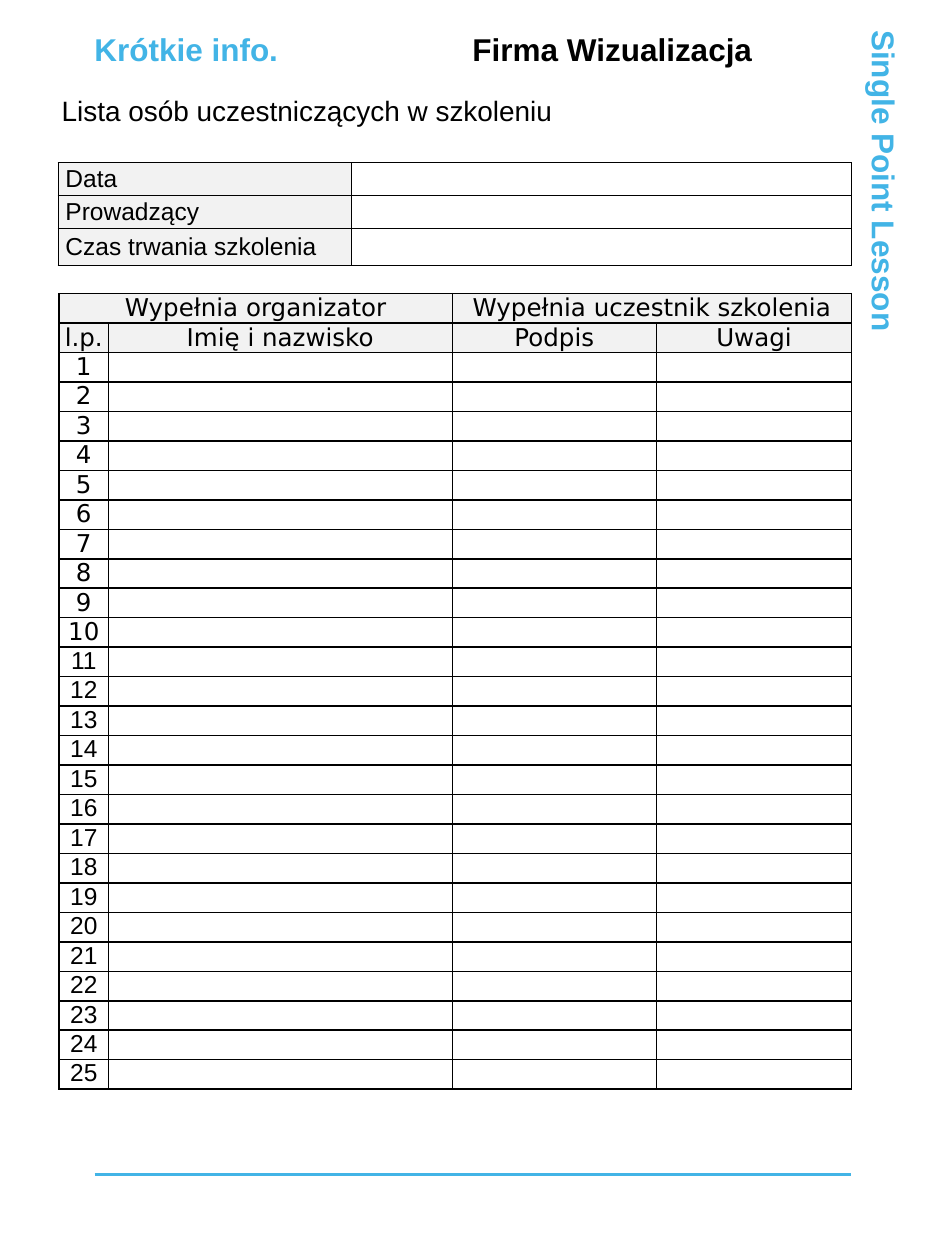
from lxml.etree import SubElement as Sub
from pptx import Presentation
from pptx.dml.color import RGBColor as RGB
from pptx.enum.shapes import MSO_CONNECTOR as LINK, MSO_SHAPE as FORM
from pptx.enum.text import MSO_ANCHOR as ANCHOR, PP_ALIGN as ALIGN
from pptx.oxml.ns import qn
from pptx.util import Inches, Pt

HUE = {"blue": "42B4E6", "ink": "000000", "head": "F2F2F2", "page": "FFFFFF"}
SIDES = ("margin_left", "margin_top", "margin_right", "margin_bottom")

deck = Presentation()
deck.slide_width, deck.slide_height = Inches(7.5), Inches(10)
slide = deck.slides.add_slide(deck.slide_layouts[6])
shapes = slide.shapes


def write(frame, text, hue="ink", align=ALIGN.LEFT, **style):
    par = frame.paragraphs[0]
    par.alignment = align
    run = par.add_run()
    run.text = text
    run.font.color.rgb = RGB.from_string(HUE[hue])
    for key, val in style.items():
        setattr(run.font, key, val)


def grid(spot, cols, rows, pad, line):
    width, height = Inches(sum(cols)), Inches(sum(rows))
    table = shapes.add_table(len(rows), len(cols), *map(Inches, spot), width, height).table
    table.first_row = table.horz_banding = False
    for col, size in zip(table.columns, cols):
        col.width = Inches(size)
    for row, size in zip(table.rows, rows):
        row.height = Inches(size)
    for cell in table.iter_cells():
        for side, gap in zip(SIDES, (pad, 0, pad, 0)):
            setattr(cell, side, Inches(gap))
        # Black border on all four sides
        props = cell._tc.get_or_add_tcPr()
        for tag in ("a:lnL", "a:lnR", "a:lnT", "a:lnB"):
            edge = Sub(props, qn(tag), w=str(Pt(line)))
            Sub(Sub(edge, qn("a:solidFill")), qn("a:srgbClr"), val=HUE["ink"])
        cell.fill.background()
        # Small type keeps empty rows low
        Sub(cell.text_frame.paragraphs[0]._p, qn("a:endParaRPr"), sz="1400")
    return table


# Headings and the side label
bold = {"size": Pt(18), "name": "Arial", "bold": True}
plain = {"size": Pt(16), "name": "Arial"}
labels = [
    ("Krótkie info.", (0.75, 0.24, 2.76, 0.3), "blue", bold, 0),
    ("Single Point Lesson", (4.11, 3, 5.82, 0.3), "blue", bold, 90),
    ("Firma Wizualizacja", (3.75, 0.24, 3, 0.45), "ink", bold, 0),
    ("Lista osób uczestniczących w szkoleniu", (0.49, 0.74, 6.1, 0.37), "ink", plain, 0),
]
for text, spot, hue, style, turn in labels:
    spot = [Inches(n) for n in spot]
    if turn:
        box = shapes.add_shape(FORM.RECTANGLE, *spot)
        box.shadow.inherit = False
        box.fill.solid()
        box.fill.fore_color.rgb = RGB.from_string(HUE["page"])
        box.line.fill.background()
        box.rotation = turn
    else:
        box = shapes.add_textbox(*spot)
    frame = box.text_frame
    frame.word_wrap = True
    frame.vertical_anchor = ANCHOR.TOP
    for side in SIDES:
        setattr(frame, side, 0)
    write(frame, text, hue, **style)

# Footer rule
rule = shapes.add_connector(LINK.STRAIGHT, Inches(0.75), Inches(9.32), Inches(6.75), Inches(9.32))
rule.line.color.rgb = RGB.from_string(HUE["blue"])
rule.line.width = Pt(1.5)
Sub(rule._element.spPr, qn("a:effectLst"))

# Training details and the sign-up list
facts = grid((0.46, 1.29), (2.33, 3.97), (0.26, 0.26, 0.3), 0.06, 0.5)
count = 25
people = grid((0.47, 2.33), (0.39, 2.73, 1.62, 1.55), [6.3 / (count + 2)] * (count + 2), 0.04, 1)
for col in (0, 2):
    people.cell(0, col).merge(people.cell(0, col + 1))

# Shaded header cells
heads = [(facts, row, 0, text, ALIGN.LEFT, "Arial")
         for row, text in enumerate(("Data", "Prowadzący", "Czas trwania szkolenia"))]
tops = [(0, 0, "Wypełnia organizator"), (0, 2, "Wypełnia uczestnik szkolenia"),
        (1, 0, "l.p."), (1, 1, "Imię i nazwisko"), (1, 2, "Podpis"), (1, 3, "Uwagi")]
heads += [(people, *top, ALIGN.CENTER, "DejaVu Sans") for top in tops]
for table, row, col, text, align, face in heads:
    cell = table.cell(row, col)
    cell.vertical_anchor = ANCHOR.MIDDLE
    cell.fill.solid()
    cell.fill.fore_color.rgb = RGB.from_string(HUE["head"])
    write(cell.text_frame, text, align=align, size=Pt(14), name=face)

# Row numbers
for num in range(1, count + 1):
    face = "DejaVu Sans" if num <= 10 else "Arial"
    write(people.cell(num + 1, 0).text_frame, str(num), align=ALIGN.CENTER, size=Pt(14), name=face)

deck.save("out.pptx")
